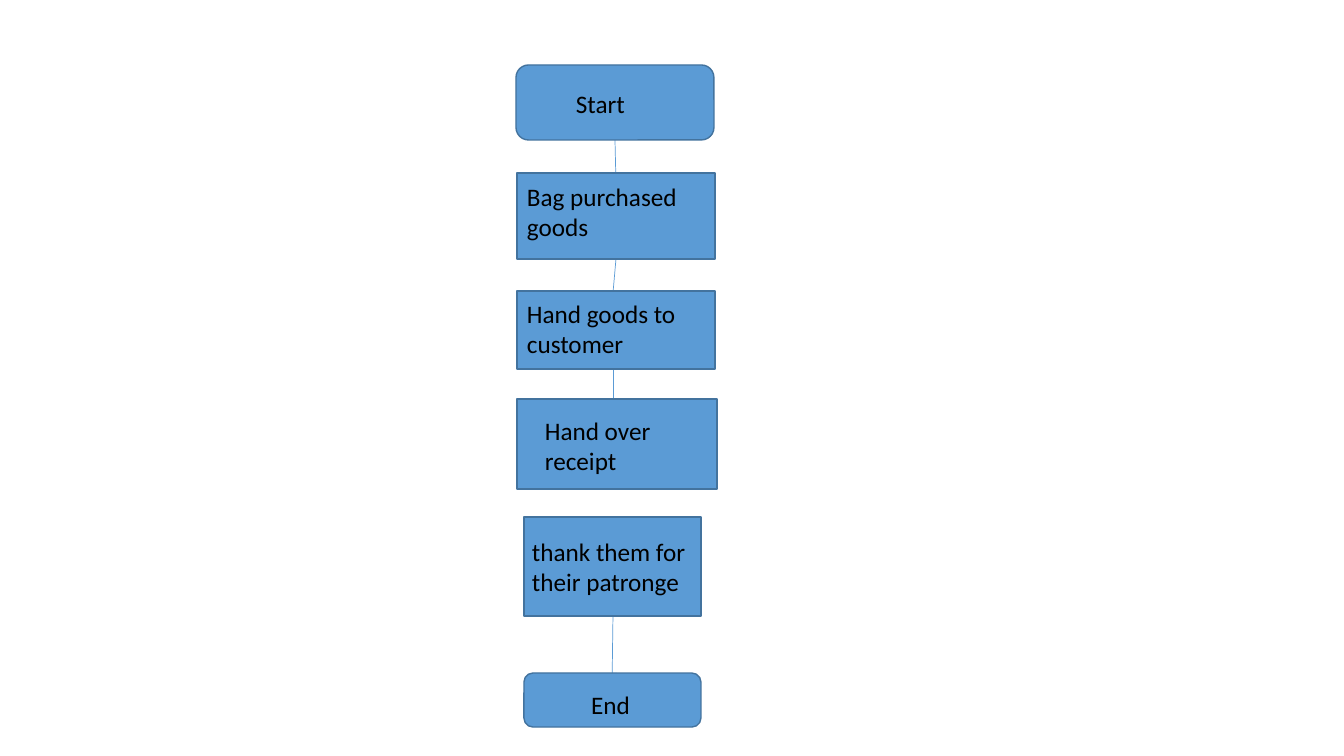
from pptx import Presentation
from pptx.dml.color import RGBColor
from pptx.enum.shapes import MSO_CONNECTOR as Connector, MSO_SHAPE as Preset
from pptx.enum.text import MSO_AUTO_SIZE as AutoSize, PP_ALIGN as Align
from pptx.oxml.ns import qn
from pptx.util import Pt
from lxml.etree import SubElement

SCALE = 914400 / 100.8
COLORS = {"fill": "5B9BD5", "border": "43739E", "line": "5B9BD5", "text": "000000"}
FONT = "Calibri"

STEPS = [
    ("Start", Preset.ROUNDED_RECTANGLE, (516, 65, 198, 75), (566, 83, 97, 40), Align.LEFT),
    ("Bag purchased goods", Preset.RECTANGLE, (517, 173, 198, 86), (517, 176, 198, 72), Align.LEFT),
    ("Hand goods to customer", Preset.RECTANGLE, (517, 291, 198, 78), (517, 293, 192, 72), Align.LEFT),
    ("Hand over receipt", Preset.RECTANGLE, (517, 399, 200, 90), (535, 410, 160, 72), Align.LEFT),
    ("thank them for their patronge", Preset.RECTANGLE, (524, 517, 177, 99), (522, 531, 179, 72), Align.LEFT),
    ("End", Preset.ROUNDED_RECTANGLE, (524, 673, 177, 54), (538, 684, 145, 40), Align.CENTER),
]
LINKS = [
    (615, 140, 617, 226),
    (616, 259, 613, 293),
    (613, 365, 613, 460),
    (613, 616, 612, 690),
]


def emu(pixels):
    return [round(value * SCALE) for value in pixels]


def color(name):
    return RGBColor.from_string(COLORS[name])


def add_link(ends):
    connector = slide.shapes.add_connector(Connector.STRAIGHT, *emu(ends))
    connector.line.color.rgb = color("line")
    connector.line.width = Pt(0.5)
    SubElement(connector.element.spPr, qn("a:effectLst"))


def add_box(preset, place):
    shape = slide.shapes.add_shape(preset, *emu(place))
    shape.shadow.inherit = False
    shape.fill.solid()
    shape.fill.fore_color.rgb = color("fill")
    shape.line.color.rgb = color("border")
    shape.line.width = Pt(1)


def add_text(text, place, size=18, ink="text", align=Align.LEFT):
    frame = slide.shapes.add_textbox(*emu(place)).text_frame
    frame.word_wrap = True
    frame.auto_size = AutoSize.SHAPE_TO_FIT_TEXT
    paragraph = frame.paragraphs[0]
    paragraph.alignment = align
    run = paragraph.add_run()
    run.text = text
    run.font.name = FONT
    run.font.size = Pt(size)
    run.font.color.rgb = color(ink)


presentation = Presentation()
presentation.slide_width, presentation.slide_height = emu((1344, 756))
slide = presentation.slides.add_slide(presentation.slide_layouts[6])

for ends in LINKS:
    add_link(ends)
for label, preset, box, label_place, align in STEPS:
    add_box(preset, box)
    add_text(label, label_place, align=align)

presentation.save("out.pptx")
